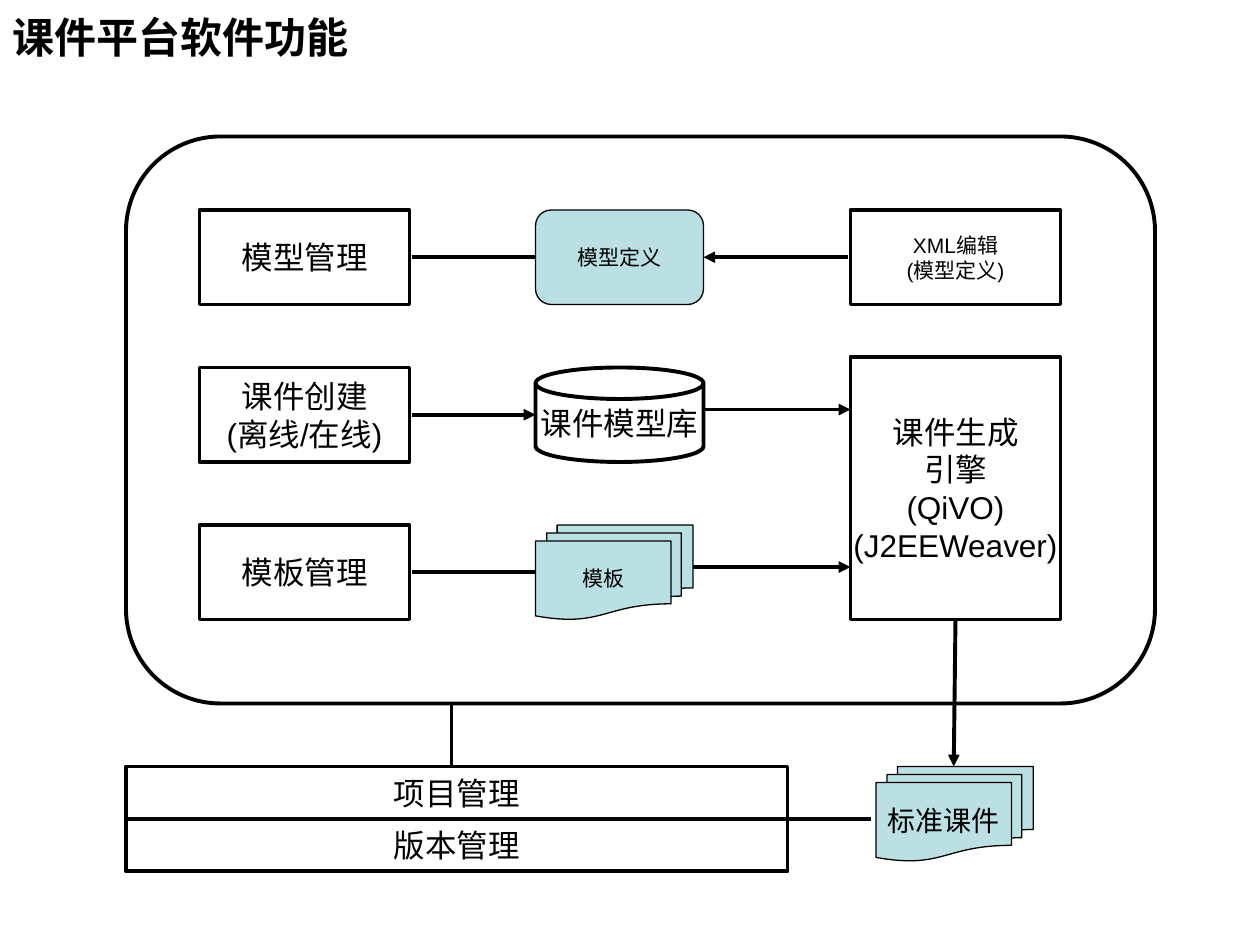
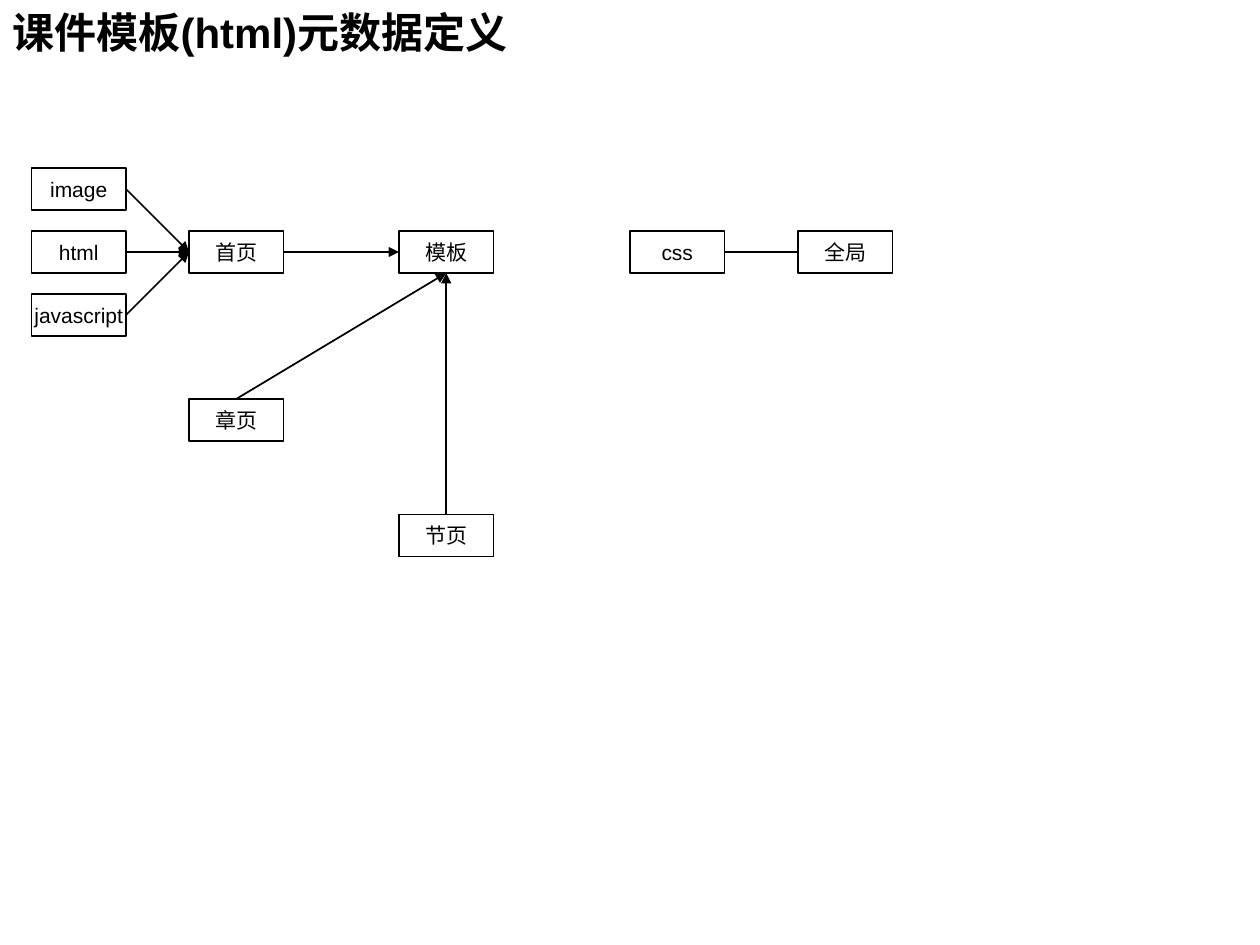
from lxml import etree
from pptx import Presentation
from pptx.dml.color import RGBColor
from pptx.enum.shapes import MSO_CONNECTOR, MSO_SHAPE
from pptx.enum.text import MSO_ANCHOR, MSO_AUTO_SIZE, PP_ALIGN
from pptx.oxml.ns import qn
from pptx.util import Pt

PROCESS = MSO_SHAPE.FLOWCHART_PROCESS
ROUNDED = MSO_SHAPE.FLOWCHART_ALTERNATE_PROCESS
DISK = MSO_SHAPE.FLOWCHART_MAGNETIC_DISK
DOCUMENTS = MSO_SHAPE.FLOWCHART_MULTIDOCUMENT
STRAIGHT = MSO_CONNECTOR.STRAIGHT
LEFT, CENTER = PP_ALIGN.LEFT, PP_ALIGN.CENTER
MIDDLE = MSO_ANCHOR.MIDDLE
NO_FIT = MSO_AUTO_SIZE.NONE

COLORS = {"ink": "000000", "paper": "FFFFFF", "accent": "BBE0E3"}
FONT = "Arial"
THICK, MEDIUM, THIN = 2.25, 1, 0.75
TOP, LEFT_SIDE, BOTTOM, RIGHT_SIDE = range(4)


def color(name):
    """Return the named colour."""
    return RGBColor.from_string(COLORS[name])


def write_lines(text_frame, lines, size, alignment, bold=False):
    """Write one paragraph per line, centred vertically."""
    text_frame.vertical_anchor = MIDDLE
    for index, line in enumerate(lines):
        paragraph = text_frame.paragraphs[0] if index == 0 else text_frame.add_paragraph()
        paragraph.alignment = alignment
        run = paragraph.add_run()
        run.text = line
        run.font.name = FONT
        run.font.size = Pt(size)
        run.font.bold = bold
        run.font.color.rgb = color("ink")


def add_title(slide, box, text):
    """Place the title placeholder in the box and fill it."""
    title = slide.shapes.title
    title.left, title.top, title.width, title.height = map(Pt, box)
    title.text_frame.auto_size = NO_FIT
    write_lines(title.text_frame, [text], 24, LEFT, bold=True)


def add_node(slide, box, lines=(), size=18, kind=PROCESS, fill="paper", weight=THICK):
    """Add an outlined flowchart shape with centred lines of text."""
    shape = slide.shapes.add_shape(kind, *map(Pt, box))
    shape.shadow.inherit = False
    shape.fill.solid()
    shape.fill.fore_color.rgb = color(fill)
    shape.line.color.rgb = color("ink")
    shape.line.width = Pt(weight)
    shape.text_frame.word_wrap = False
    write_lines(shape.text_frame, lines, size, CENTER)
    return shape


def add_link(slide, start=(0, 0), end=(0, 0), arrow=True, weight=THICK):
    """Add a straight line, with an arrowhead at its end if wanted."""
    connector = slide.shapes.add_connector(STRAIGHT, *map(Pt, (*start, *end)))
    connector.line.color.rgb = color("ink")
    connector.line.width = Pt(weight)
    if arrow:
        etree.SubElement(connector.line._get_or_add_ln(), qn("a:tailEnd"), type="triangle")
    etree.SubElement(connector._element.spPr, qn("a:effectLst"))
    return connector


def add_platform(slide, box):
    """Draw the platform frame with its three columns of functions."""
    left, top, _, _ = box
    row_height, row_pitch, wide, narrow = 54, 90, 120, 96
    managers, stores, tools = left + 42, left + 234, left + 414
    rows = [top + 42 + row_pitch * index for index in range(3)]
    middles = [row + row_height / 2 for row in rows]
    add_node(slide, box, kind=ROUNDED)

    manager_lines = [["模型管理"], ["课件创建", "(离线/在线)"], ["模板管理"]]
    for row, middle, lines in zip(rows, middles, manager_lines):
        add_node(slide, (managers, row, wide, row_height), lines)
        add_link(slide, (managers + wide + 1.5, middle), (stores, middle), row == rows[1])

    add_node(slide, (stores, rows[0], narrow, row_height), ["模型定义"], 12,
             ROUNDED, "accent", THIN)
    add_node(slide, (stores, rows[1], narrow, row_height), ["课件模型库"], kind=DISK)
    add_node(slide, (stores, rows[2], 90, row_height), ["模板"], 12,
             DOCUMENTS, "accent", THIN)

    add_node(slide, (tools, rows[0], wide, row_height), ["XML编辑", "(模型定义)"], 12)
    add_node(slide, (tools, rows[1] - 6, wide, 150),
             ["课件生成", "引擎", "(QiVO)", "(J2EEWeaver)"])
    add_link(slide, (tools - 1.5, middles[0]), (stores + narrow, middles[0]))
    for store_width, middle in ((narrow, middles[1]), (90, middles[2])):
        add_link(slide, (stores + store_width, middle - 3), (tools, middle - 3))


def add_management(slide, box):
    """Stack the two management bars in the box and tie them to the platform."""
    left, top, width, height = box
    bar_height = height / 2
    for index, text in enumerate(["项目管理", "版本管理"]):
        add_node(slide, (left, top + index * bar_height, width, bar_height), [text])
    add_link(slide, (left + 186, top), (left + 186, top - 36), arrow=False)
    middle = top + bar_height
    add_link(slide, (left + width, middle), (left + width + 48, middle), arrow=False)


def add_courseware(slide, box):
    """Draw the finished courseware in the box and the arrow that leads to it."""
    left, top, _, _ = box
    add_node(slide, box, ["标准课件"], 16, DOCUMENTS, "accent", THIN)
    add_link(slide, (left + 45.5, top - 83), (left + 44.5, top))


def add_metadata_map(slide, box):
    """Draw the template parts in the box and connect them by their sides."""
    left, top, _, _ = box
    positions = {
        "image": (0, 0), "html": (0, 36), "javascript": (0, 72),
        "首页": (90, 36), "章页": (90, 132),
        "模板": (210, 36), "节页": (210, 198),
        "css": (342, 36), "全局": (438, 36),
    }
    nodes = {
        text: add_node(slide, (left + x, top + y, 54, 24), [text], 12, weight=MEDIUM)
        for text, (x, y) in positions.items()
    }
    links = [(part, RIGHT_SIDE, "首页", LEFT_SIDE) for part in ("image", "html", "javascript")]
    links += [
        ("首页", RIGHT_SIDE, "模板", LEFT_SIDE),
        ("章页", TOP, "模板", BOTTOM),
        ("节页", TOP, "模板", BOTTOM),
        ("css", RIGHT_SIDE, "全局", LEFT_SIDE),
    ]
    for source, source_side, target, target_side in links:
        connector = add_link(slide, arrow=source != "css", weight=MEDIUM)
        connector.begin_connect(nodes[source], source_side)
        connector.end_connect(nodes[target], target_side)


def main():
    """Build the two slides and save them."""
    presentation = Presentation()
    presentation.slide_width, presentation.slide_height = Pt(720), Pt(540)
    title_only = presentation.slide_layouts[5]

    slide = presentation.slides.add_slide(title_only)
    add_title(slide, (0, 0, 720, 42), "课件平台软件功能")
    add_platform(slide, (72, 78, 588, 324))
    add_management(slide, (72, 438, 378, 60))
    add_courseware(slide, (500.5, 438, 90, 54))

    slide = presentation.slides.add_slide(title_only)
    add_title(slide, (0, 0, 720, 36), "课件模板(html)元数据定义")
    add_metadata_map(slide, (18, 96, 492, 222))

    presentation.save("out.pptx")


main()
